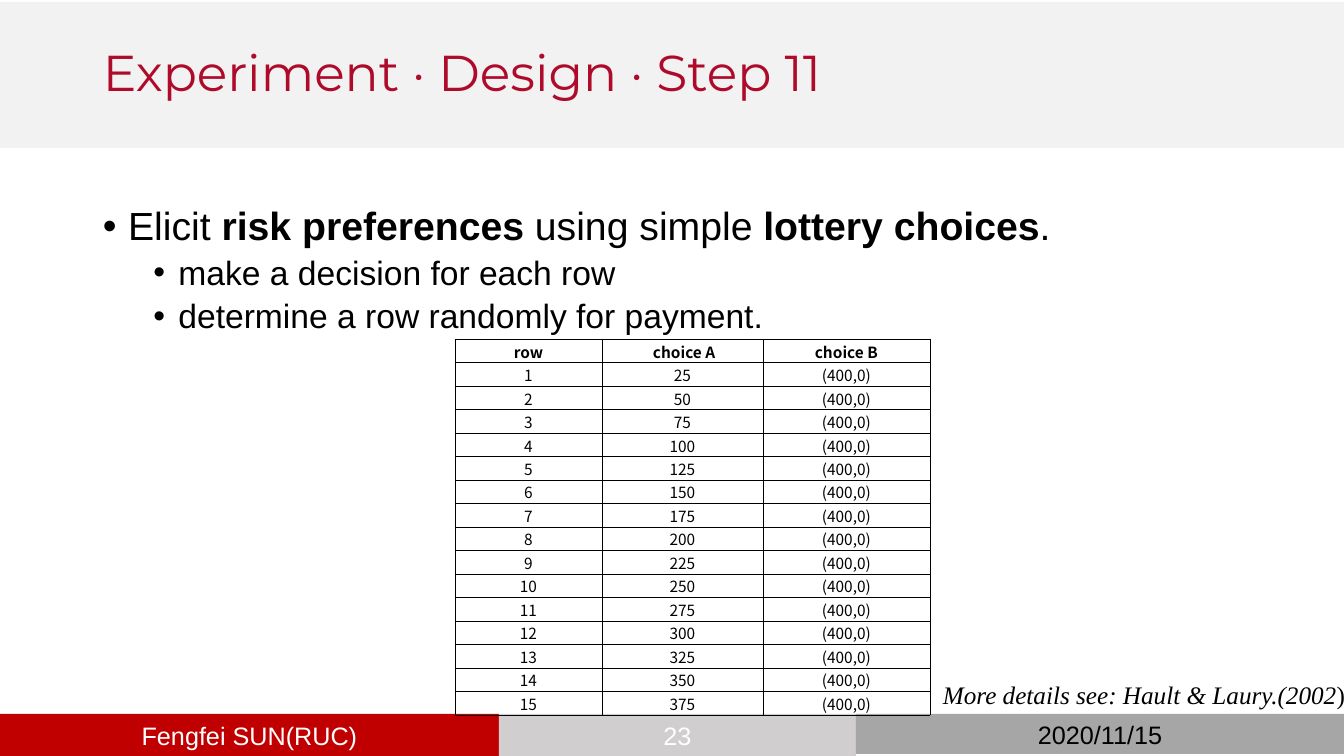
from lxml import etree
from pptx import Presentation
from pptx.dml.color import RGBColor
from pptx.enum.shapes import MSO_SHAPE
from pptx.enum.text import MSO_ANCHOR, PP_ALIGN
from pptx.oxml.ns import qn
from pptx.util import Emu, Pt

RECTANGLE = MSO_SHAPE.RECTANGLE
TOP, MIDDLE = MSO_ANCHOR.TOP, MSO_ANCHOR.MIDDLE
LEFT, CENTER, RIGHT = PP_ALIGN.LEFT, PP_ALIGN.CENTER, PP_ALIGN.RIGHT
EMU_PER_PX = 914400 / 100.8
BLANK_LAYOUT = 6


def px(length):
    """Turn a length in px into EMU."""
    return Emu(round(length * EMU_PER_PX))


def rgb(color):
    """Turn a hex string into a colour."""
    return RGBColor.from_string(color)


def write(paragraph, text, size=18, font="Arial", color="000000", bold=False, italic=False):
    """Add a formatted run to a paragraph."""
    run = paragraph.add_run()
    run.text = text
    run.font.size = Pt(size)
    run.font.name = font
    run.font.color.rgb = rgb(color)
    run.font.bold = bold
    run.font.italic = italic


class SlideBuilder:
    """Hold the style and the current slide, and draw each kind of element."""

    title_style = {"size": 36, "font": "Montserrat", "color": "AE0B2A"}
    table_style = {"size": 11, "font": "Noto Sans CJK SC"}
    note_style = {"size": 18, "font": "Times New Roman"}
    border_color = "000000"
    border_width = Pt(0.5)

    def __init__(self, slide):
        """Keep the slide to draw on."""
        self.slide = slide

    def bar(self, left, top, width, height, fill):
        """Draw a plain filled rectangle."""
        shape = self.slide.shapes.add_shape(RECTANGLE, px(left), px(top), px(width), px(height))
        shape.shadow.inherit = False
        shape.fill.solid()
        shape.fill.fore_color.rgb = rgb(fill)
        shape.line.fill.background()
        return shape

    def footer(self, left, width, height, fill, text, color, anchor):
        """Draw a footer bar with centred text."""
        frame = self.bar(left, 714, width, height, fill).text_frame
        frame.vertical_anchor = anchor
        frame.paragraphs[0].alignment = CENTER
        write(frame.paragraphs[0], text, color=color)

    def text_box(self, left, top, width, height, anchor=TOP, alignment=LEFT):
        """Add a wrapping text box and return its frame."""
        shape = self.slide.shapes.add_textbox(px(left), px(top), px(width), px(height))
        frame = shape.text_frame
        frame.word_wrap = True
        frame.vertical_anchor = anchor
        frame.paragraphs[0].alignment = alignment
        return frame

    def title(self, text):
        """Write the slide title."""
        paragraph = self.text_box(93, 2, 1159, 146, MIDDLE).paragraphs[0]
        paragraph.line_spacing = 0.9
        write(paragraph, text, **self.title_style)

    def bullets(self, items):
        """Write bulleted paragraphs from levels and runs."""
        frame = self.text_box(93, 202, 1200, 498)
        for index, (level, runs) in enumerate(items):
            paragraph = frame.add_paragraph() if index else frame.paragraphs[0]
            paragraph.level = level
            paragraph.line_spacing = 0.9
            paragraph.space_before = Pt(5 if level else 10)
            properties = paragraph._p.get_or_add_pPr()
            properties.set("marL", str(228600 + 457200 * level))
            properties.set("indent", "-228600")
            etree.SubElement(properties, qn("a:buFont"), typeface="Arial")
            etree.SubElement(properties, qn("a:buChar"), char="•")
            for text, bold in runs:
                write(paragraph, text, size=28 - 4 * level, bold=bold)

    def border(self, cell):
        """Give a cell a thin line on every side."""
        properties = cell._tc.get_or_add_tcPr()
        for side in ("a:lnL", "a:lnR", "a:lnT", "a:lnB"):
            line = etree.SubElement(properties, qn(side), w=str(self.border_width))
            fill = etree.SubElement(line, qn("a:solidFill"))
            etree.SubElement(fill, qn("a:srgbClr"), val=self.border_color)

    def table(self, left, top, height, widths, rows):
        """Draw a bordered table with a bold first row."""
        table = self.slide.shapes.add_table(
            len(rows), len(widths), px(left), px(top), px(sum(widths)), px(height)).table
        table.first_row = table.horz_banding = False
        for column, width in zip(table.columns, widths):
            column.width = px(width)
        for row_index, row in enumerate(rows):
            for column_index, text in enumerate(row):
                cell = table.cell(row_index, column_index)
                self.border(cell)
                cell.fill.background()
                cell.margin_left = cell.margin_right = cell.margin_top = px(1)
                cell.margin_bottom = 0
                cell.vertical_anchor = MIDDLE
                paragraph = cell.text_frame.paragraphs[0]
                paragraph.alignment = CENTER
                write(paragraph, text, bold=row_index == 0, **self.table_style)

    def note(self, text, ending):
        """Write the right-aligned reference in italics with an upright ending."""
        paragraph = self.text_box(103, 674, 1252, 40, alignment=RIGHT).paragraphs[0]
        write(paragraph, text, italic=True, **self.note_style)
        write(paragraph, ending, **self.note_style)


def main():
    """Build the lottery choice slide."""
    presentation = Presentation()
    presentation.slide_width = px(1344)
    presentation.slide_height = px(756)
    slide = presentation.slides.add_slide(presentation.slide_layouts[BLANK_LAYOUT])
    builder = SlideBuilder(slide)

    builder.footer(0, 499, 42, "C00000", "Fengfei SUN(RUC)", "FFFFFF", MIDDLE)
    builder.footer(499, 357, 42, "D0CECE", "23", "FFFFFF", MIDDLE)
    builder.bar(0, 2, 1344, 146, "F2F2F2")
    builder.footer(856, 488, 40, "A6A6A6", "2020/11/15", "000000", TOP)
    builder.title("Experiment · Design · Step 11")
    builder.bullets([
        (0, [("Elicit ", False), ("risk preferences ", True), ("using simple ", False),
             ("lottery choices", True), (".", False)]),
        (1, [("make a decision for each row", False)]),
        (1, [("determine a row randomly for payment.", False)]),
    ])
    choices = [(str(number), str(25 * number), "(400,0)") for number in range(1, 16)]
    builder.table(455, 339, 376, (147, 161, 167), [("row", " choice A", "choice B")] + choices)
    builder.note("More details see: Hault & Laury.(2002", ")")
    presentation.save("out.pptx")


if __name__ == "__main__":
    main()
